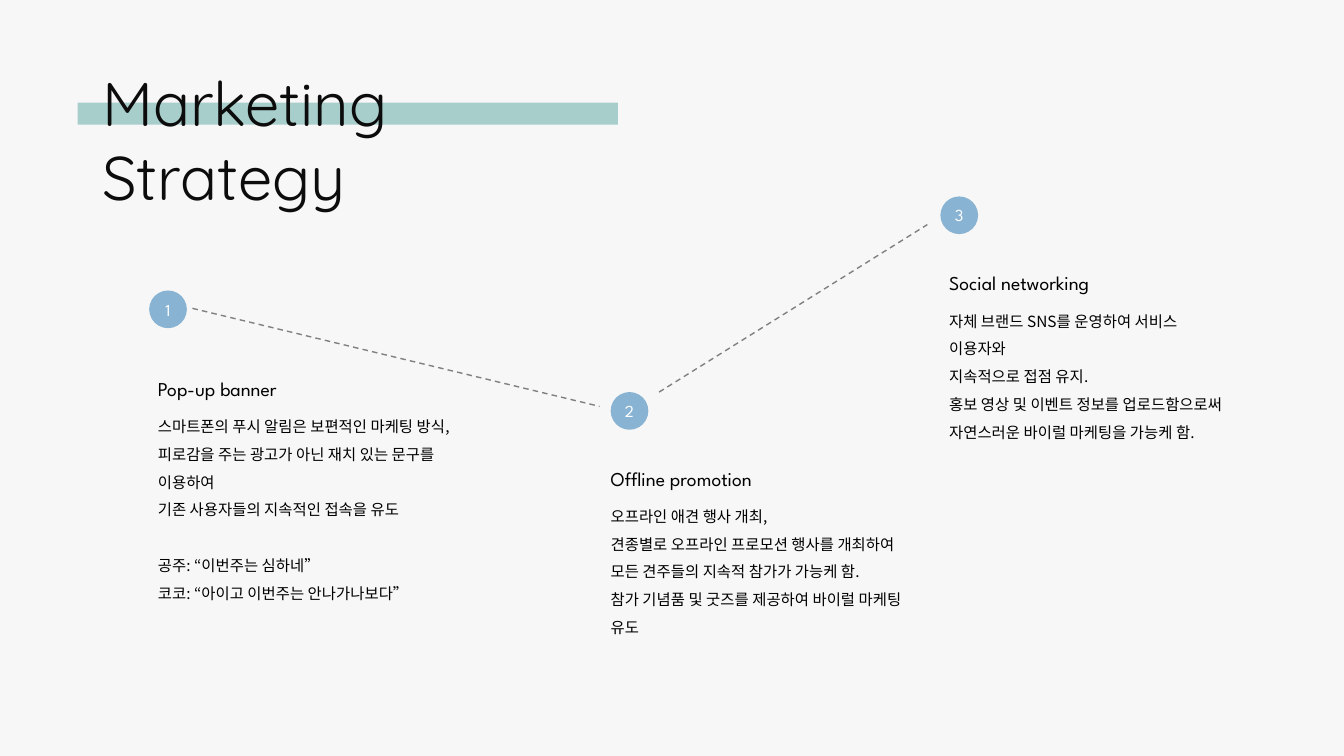
from lxml import etree
from pptx import Presentation
from pptx.dml.color import RGBColor
from pptx.enum.dml import MSO_LINE
from pptx.enum.shapes import MSO_CONNECTOR, MSO_SHAPE
from pptx.enum.text import MSO_ANCHOR, MSO_AUTO_SIZE, PP_ALIGN
from pptx.oxml.ns import qn
from pptx.util import Cm, Pt

RECTANGLE, OVAL = MSO_SHAPE.RECTANGLE, MSO_SHAPE.OVAL
STRAIGHT, DASH = MSO_CONNECTOR.STRAIGHT, MSO_LINE.DASH
TOP, MIDDLE = MSO_ANCHOR.TOP, MSO_ANCHOR.MIDDLE
LEFT, CENTER = PP_ALIGN.LEFT, PP_ALIGN.CENTER
NO_AUTOFIT = MSO_AUTO_SIZE.NONE

COLORS = {
    "background": "F7F7F7",
    "highlight": "A8CECC",
    "title": "0C0C0C",
    "marker": "88B3D3",
    "number": "FFFFFF",
    "text": "000000",
    "path": "808080",
}
TITLE_FONT, HEADING_FONT, BODY_FONT = "Quicksand", "League Spartan", "Noto Sans CJK KR"
MARKER_SIZE = 0.95
BODY_DROP = 0.79

STEPS = [
    {
        "marker": (3.76, 7.32),
        "box": (3.73, 9.37, 8.76, 4.42),
        "heading": "Pop-up banner",
        "lines": [
            "스마트폰의 푸시 알림은 보편적인 마케팅 방식,",
            "피로감을 주는 광고가 아닌 재치 있는 문구를 이용하여",
            "기존 사용자들의 지속적인 접속을 유도",
        ],
        "quotes": ["공주: “이번주는 심하네”", "코코: “아이고 이번주는 안나가나보다”"],
    },
    {
        "marker": (15.39, 9.88),
        "box": (15.14, 11.63, 8.5, 3.02),
        "heading": "Offline promotion",
        "lines": [
            "오프라인 애견 행사 개최,",
            "견종별로 오프라인 프로모션 행사를 개최하여",
            "모든 견주들의 지속적 참가가 가능케 함.",
            "참가 기념품 및 굿즈를 제공하여 바이럴 마케팅 유도",
        ],
        "quotes": [],
    },
    {
        "marker": (23.7, 4.95),
        "box": (23.67, 6.71, 7.75, 3.02),
        "heading": "Social networking",
        "lines": [
            "자체 브랜드 SNS를 운영하여 서비스 이용자와",
            "지속적으로 접점 유지.",
            "홍보 영상 및 이벤트 정보를 업로드함으로써",
            "자연스러운 바이럴 마케팅을 가능케 함.",
        ],
        "quotes": [],
    },
]
PATHS = [(4.85, 7.77, 15.11, 10.24), (16.61, 9.88, 23.37, 5.66)]


def color(name):
    """Return the named colour."""
    return RGBColor.from_string(COLORS[name])


def format_runs(frame, font_name, size, color_name):
    """Apply one font, size and colour to all runs, Korean letters included."""
    for paragraph in frame.paragraphs:
        for run in paragraph.runs:
            run.font.name = font_name
            run.font.size = Pt(size)
            run.font.color.rgb = color(color_name)
            latin = run.font._element.find(qn("a:latin"))
            east_asian = etree.Element(qn("a:ea"), typeface=font_name)
            latin.addnext(east_asian)


def add_filled(slide, kind, box, color_name):
    """Add a plain filled shape without outline or shadow."""
    shape = slide.shapes.add_shape(kind, *map(Cm, box))
    shape.shadow.inherit = False
    shape.fill.solid()
    shape.fill.fore_color.rgb = color(color_name)
    shape.line.fill.background()
    return shape


def add_text(slide, box):
    """Add a wrapping text box and return its text frame."""
    frame = slide.shapes.add_textbox(*map(Cm, box)).text_frame
    frame.word_wrap = True
    return frame


def add_title(slide, left, top, width, height):
    """Place the title over its highlight bar."""
    title = slide.shapes.title
    title.left, title.top, title.width, title.height = map(Cm, (left, top, width, height))
    frame = title.text_frame
    frame.text = "Marketing Strategy"
    frame.word_wrap = True
    frame.auto_size = NO_AUTOFIT
    frame.vertical_anchor = TOP
    frame.paragraphs[0].alignment = LEFT
    format_runs(frame, TITLE_FONT, 44, "title")
    highlight = add_filled(slide, RECTANGLE, (left - 0.36, top + 1.07, 13.61, 0.55), "highlight")
    title.element.addprevious(highlight.element)


def add_marker(slide, left, top, number):
    """Draw a numbered circle."""
    marker = add_filled(slide, OVAL, (left, top, MARKER_SIZE, MARKER_SIZE), "marker")
    frame = marker.text_frame
    frame.margin_left = frame.margin_right = 0
    frame.vertical_anchor = MIDDLE
    frame.text = str(number)
    frame.paragraphs[0].alignment = CENTER
    format_runs(frame, HEADING_FONT, 12, "number")


def add_description(slide, box, heading, lines, quotes):
    """Write a heading with its explanation and any sample messages below."""
    left, top, width, height = box
    heading_frame = add_text(slide, (left, top, width, 0.86))
    heading_frame.text = heading
    format_runs(heading_frame, HEADING_FONT, 14, "text")

    body = add_text(slide, (left, top + BODY_DROP, width, height))
    body.text = "\n".join(lines + quotes)
    for paragraph in body.paragraphs:
        paragraph.line_spacing = 1.5
    if quotes:
        body.paragraphs[len(lines)].space_before = Pt(19.8)
    format_runs(body, BODY_FONT, 11, "text")


def add_path(slide, ends):
    """Draw a dashed line between two steps."""
    path_line = slide.shapes.add_connector(STRAIGHT, *map(Cm, ends))
    path_line.line.color.rgb = color("path")
    path_line.line.width = Pt(1)
    path_line.line.dash_style = DASH
    etree.SubElement(path_line.element.spPr, qn("a:effectLst"))


def main():
    """Build the marketing strategy slide."""
    presentation = Presentation()
    presentation.slide_width, presentation.slide_height = Cm(33.87), Cm(19.05)
    slide = presentation.slides.add_slide(presentation.slide_layouts[5])
    slide.background.fill.solid()
    slide.background.fill.fore_color.rgb = color("background")

    add_title(slide, 2.32, 1.52, 13.6, 2.13)
    for number, step in enumerate(STEPS, 1):
        add_marker(slide, *step["marker"], number)
        add_description(slide, step["box"], step["heading"], step["lines"], step["quotes"])
    for ends in PATHS:
        add_path(slide, ends)
    presentation.save("out.pptx")


if __name__ == "__main__":
    main()
